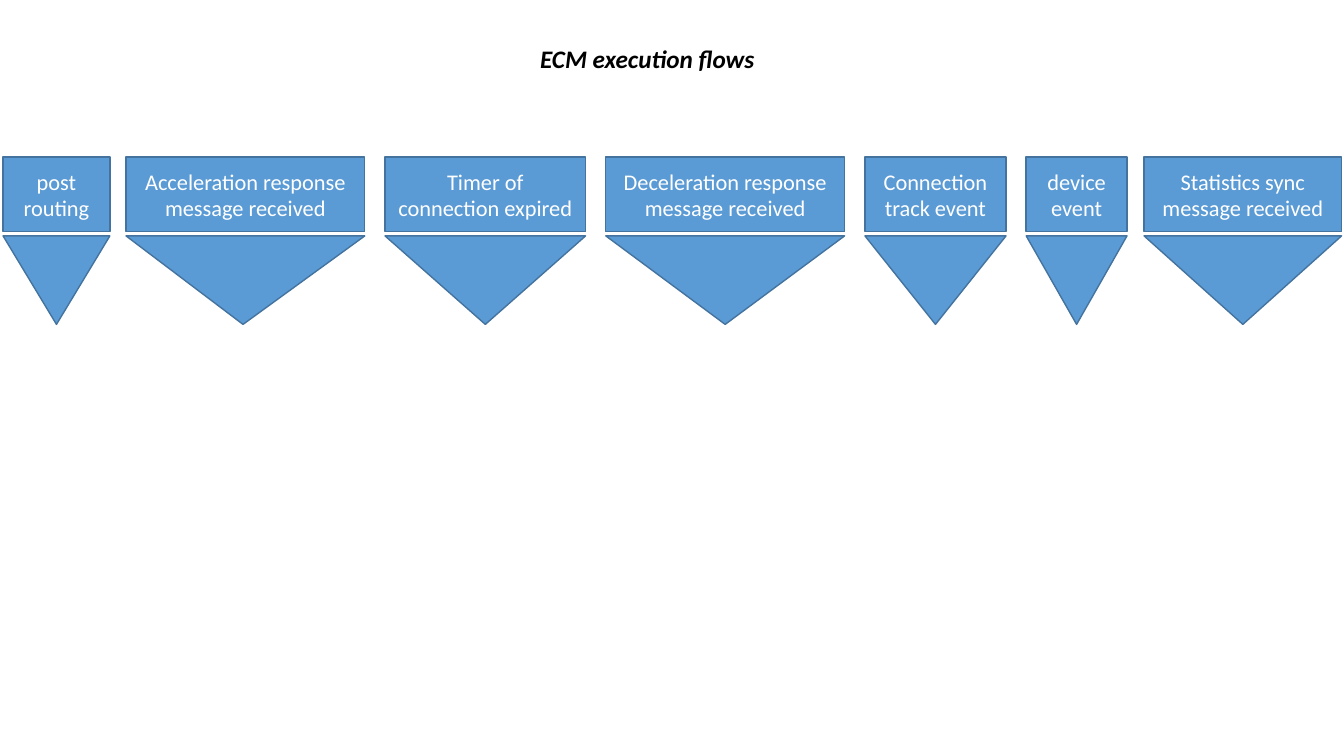
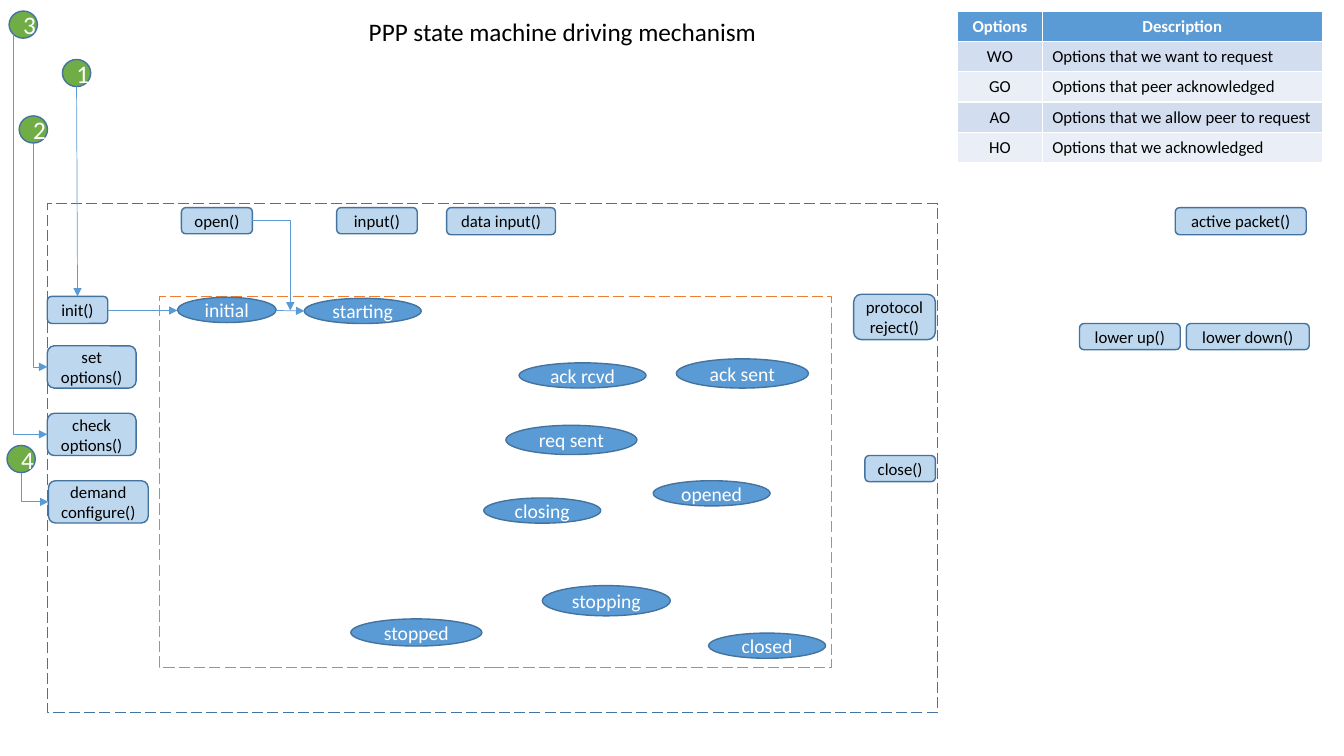
import pptx
import pptx.util
import pptx.dml.color
import pptx.enum.dml
import pptx.enum.shapes
import pptx.enum.text
import pptx.oxml.ns
import lxml.etree

Pt = pptx.util.Pt
qn = pptx.oxml.ns.qn
RGB = pptx.dml.color.RGBColor.from_string
Kind = pptx.enum.shapes.MSO_SHAPE
Wire = pptx.enum.shapes.MSO_CONNECTOR
Align = pptx.enum.text.PP_ALIGN

FONT = "Calibri"
HUES = {
    "blue": "5B9BD5", "edge": "43739E", "green": "70AD47", "orange": "ED7D31",
    "black": "000000", "white": "FFFFFF", "band": "D2DEEF", "pale": "EAEFF7",
}


def write(frame, text, size=12, hue="black", bold=False, slant=False, align=Align.CENTER):
    para = frame.paragraphs[0]
    para.alignment = align
    run = para.add_run()
    run.text = text
    font = run.font
    font.name, font.size, font.bold, font.italic = FONT, Pt(size), bold, slant
    font.color.rgb = RGB(HUES[hue])


def draw(slide, kind, box, fill="blue", edge="edge"):
    shape = slide.shapes.add_shape(kind, *map(Pt, box))
    shape.shadow.inherit = False
    if fill:
        shape.fill.solid()
        shape.fill.fore_color.rgb = RGB(HUES[fill])
    else:
        shape.fill.background()
    shape.line.color.rgb = RGB(HUES[edge])
    shape.line.width = Pt(1)
    shape.text_frame.word_wrap = True
    shape.text_frame.vertical_anchor = pptx.enum.text.MSO_ANCHOR.MIDDLE
    return shape


deck = pptx.Presentation()
deck.slide_width, deck.slide_height = Pt(960), Pt(540)

titles = [
    ("ECM execution flows", (378.7, 27.4, 170, 28.8), True),
    ("PPP state machine driving mechanism", (256.3, 8, 294.5, 28.8), False),
]
slides = []
for text, box, strong in titles:
    slide = deck.slides.add_slide(deck.slide_layouts[6])
    frame = slide.shapes.add_textbox(*map(Pt, box)).text_frame
    frame.word_wrap = False
    frame.auto_size = pptx.enum.text.MSO_AUTO_SIZE.SHAPE_TO_FIT_TEXT
    write(frame, text, size=18, bold=strong, slant=strong, align=Align.LEFT)
    slides.append(slide)
flow, state = slides

events = [
    ("post routing", 2.2, 76.3),
    ("Acceleration response message received", 90, 170.6),
    ("Timer of connection expired", 275, 143.3),
    ("Deceleration response message received", 432.7, 170.6),
    ("Connection track event", 617.8, 100.8),
    ("device event", 733, 72),
    ("Statistics sync message received", 817.2, 141.1),
]
for text, left, width in events:
    block = draw(flow, Kind.RECTANGLE, (left, 112.3, width, 53.3))
    write(block.text_frame, text, size=16, hue="white")
    point = draw(flow, Kind.ISOSCELES_TRIANGLE, (left, 168.5, width, 63.2))
    point.rotation = 180
    if text.startswith("Accel"):
        point.adjustments[0] = 0.51

rows = [
    ("Options", "Description"),
    ("WO", "Options that we want to request"),
    ("GO", "Options that peer acknowledged"),
    ("AO", "Options that we allow peer to request"),
    ("HO", "Options that we acknowledged"),
]
table = state.shapes.add_table(len(rows), 2, Pt(684), Pt(8), Pt(260.6), Pt(108)).table
table.columns[0].width, table.columns[1].width = Pt(60.5), Pt(200.1)
for i, row in enumerate(rows):
    for j, text in enumerate(row):
        cell = table.cell(i, j)
        cell.fill.solid()
        tone = "blue" if i == 0 else ("pale", "band")[i % 2]
        cell.fill.fore_color.rgb = RGB(HUES[tone])
        write(cell.text_frame, text, hue="black" if i else "white", bold=i == 0,
              align=Align.LEFT if i and j else Align.CENTER)

for box, hue in [((33.8, 145.4, 635.8, 363.6), "edge"), ((113.8, 211.7, 480.2, 265), "orange")]:
    zone = draw(state, Kind.RECTANGLE, box, fill=None, edge=hue)
    zone.line.dash_style = pptx.enum.dml.MSO_LINE.LONG_DASH

nodes = {}
calls = [
    ("init()", 33.8, 211.7, 43.2, 19.4),
    ("input()", 240.5, 148.3, 57.6, 18.7),
    ("protocol reject()", 609.8, 210.2, 58.3, 32.4),
    ("lower up()", 771.1, 231.1, 72, 18.7),
    ("lower down()", 847.4, 231.1, 87.8, 18.7),
    ("open()", 129.6, 148.3, 50.7, 18.7),
    ("close()", 617.8, 325.4, 50.4, 18.7),
    ("data input()", 319, 148.3, 77.8, 19.4),
    ("check options()", 33.8, 295.2, 63.4, 30.2),
    ("demand configure()", 34.6, 343.4, 71.3, 30.2),
    ("active packet()", 839.5, 148.3, 93.6, 19.4),
    ("set options()", 33.8, 247, 63.4, 30.2),
]
for text, *box in calls:
    node = nodes[text] = draw(state, Kind.ROUNDED_RECTANGLE, box)
    tint = node.fill._xPr.find(qn("a:solidFill"))[0]
    lxml.etree.SubElement(tint, qn("a:alpha"), val="40000")
    write(node.text_frame, text)

phases = [
    ("initial", 126.7, 212.4, 70.6, 18),
    ("starting", 217.4, 213.1, 83.5, 18),
    ("closed", 506.2, 452.2, 83.5, 18),
    ("stopped", 250.6, 442.1, 93.6, 19.4),
    ("closing", 345.6, 355.7, 83.5, 18),
    ("stopping", 387.4, 418.3, 91.4, 21.6),
    ("req sent", 361.4, 303.8, 93.6, 20.9),
    ("ack rcvd", 370.8, 259.2, 90.7, 18),
    ("ack sent", 483.1, 256.3, 94.3, 20.9),
    ("opened", 466.6, 343.4, 83.5, 18),
]
for text, *box in phases:
    node = nodes[text] = draw(state, Kind.OVAL, box)
    write(node.text_frame, text, size=14, hue="white")

for text, left, top in [("1", 44.6, 42.5), ("2", 13.7, 82.8), ("3", 6.5, 7.9), ("4", 5, 318.2)]:
    node = nodes[text] = draw(state, Kind.OVAL, (left, top, 20.2, 19.4), fill="green")
    write(node.text_frame, text, size=18, hue="white")

links = [
    ("init()", 3, "initial", 2, (77, 221.8, 126.7, 221.8), False, "tailEnd"),
    ("1", 4, "init()", 0, (54.7, 61.9, 55.4, 211.7), False, "tailEnd"),
    ("initial", 6, "starting", 2, (197.3, 221.8, 217.4, 222.1), False, "tailEnd"),
    ("set options()", 1, "2", 4, (33.8, 262.1, 23.8, 102.2), True, "headEnd"),
    ("check options()", 1, "3", 3, (33.8, 310.3, 9.5, 24.5), True, "headEnd"),
    ("demand configure()", 1, "4", 4, (34.6, 358.5, 15.1, 337.6), True, "headEnd"),
    ("open()", 3, None, 0, (180.3, 157.7, 207.4, 221.8), True, "tailEnd"),
]
for start, exit, goal, entry, ends, bent, tip in links:
    link = state.shapes.add_connector(Wire.ELBOW if bent else Wire.STRAIGHT, *map(Pt, ends))
    link.line.color.rgb = RGB(HUES["blue"])
    link.line.width = Pt(0.5)
    props = link._element.spPr
    lxml.etree.SubElement(link.line._get_or_add_ln(), qn("a:" + tip), type="triangle")
    lxml.etree.SubElement(props, qn("a:effectLst"))
    if bent:
        props.find(qn("a:prstGeom")).set("prst", "bentConnector2")
    joint = link._element.nvCxnSpPr.cNvCxnSpPr
    for tag, name, site in [("a:stCxn", start, exit), ("a:endCxn", goal, entry)]:
        if name:
            lxml.etree.SubElement(joint, qn(tag), id=str(nodes[name].shape_id), idx=str(site))

deck.save("out.pptx")
